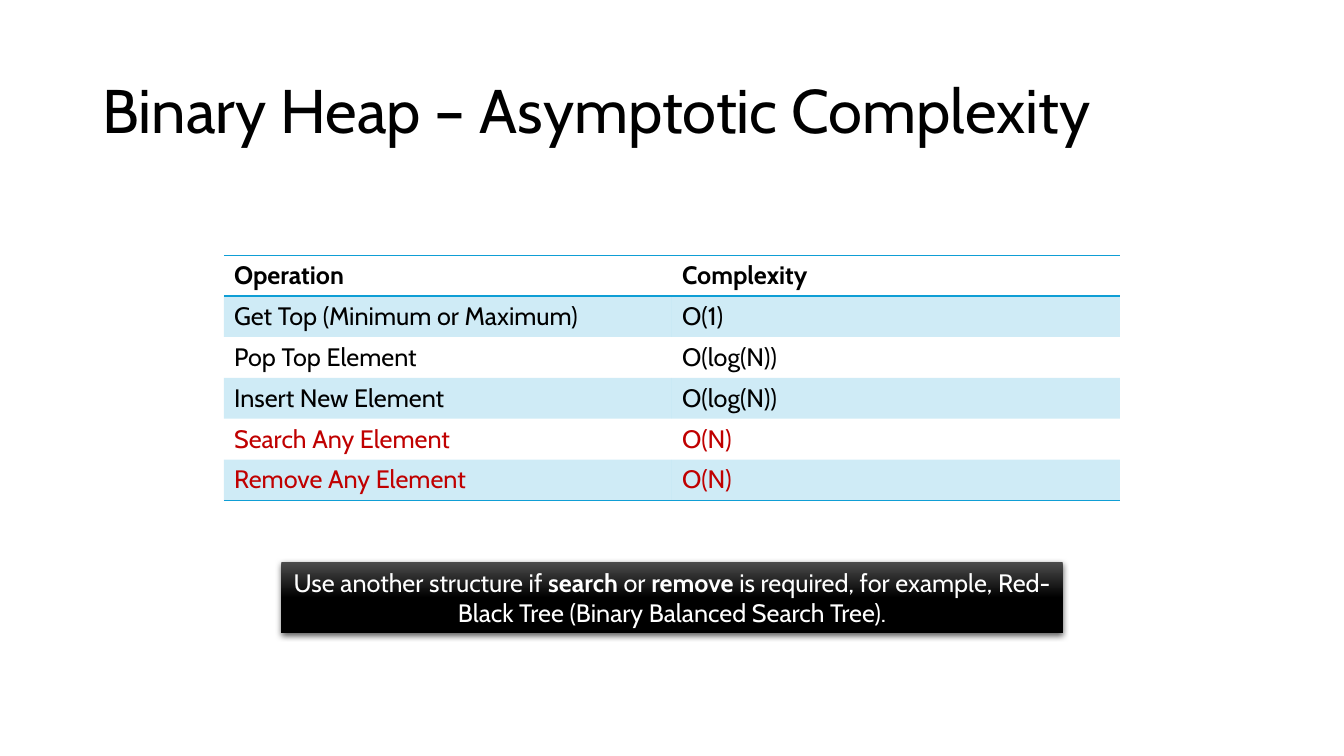
"""Build a slide on the asymptotic complexity of binary heap operations."""
from lxml.etree import SubElement
from pptx import Presentation
from pptx.dml.color import RGBColor
from pptx.enum.shapes import MSO_SHAPE as Shape
from pptx.enum.text import MSO_ANCHOR as Anchor, PP_ALIGN as Align
from pptx.oxml import parse_xml
from pptx.oxml.ns import nsdecls, qn
from pptx.util import Pt

TITLE = "Binary Heap – Asymptotic Complexity"
HEADER = ("Operation", "Complexity")
OPERATIONS = [
    ("Get Top (Minimum or Maximum)", "O(1)"),
    ("Pop Top Element", "O(log(N))"),
    ("Insert New Element", "O(log(N))"),
    ("Search Any Element", "O(N)"),
    ("Remove Any Element", "O(N)"),
]
SLOW = "O(N)"
ADVICE = [
    ("Use another structure if ", False),
    ("search", True),
    (" or ", False),
    ("remove", True),
    (" is required, for example, Red-Black Tree (Binary Balanced Search Tree).", False),
]

FONT = "Cabin"
PLAIN_STYLE = "{2D5ABB26-0587-4C30-8999-92F81FD0307C}"
BLACK = RGBColor(0x00, 0x00, 0x00)
WHITE = RGBColor(0xFF, 0xFF, 0xFF)
RED = RGBColor(0xC0, 0x00, 0x00)
BLUE = RGBColor(0x0F, 0x9E, 0xD5)
CHARCOAL = RGBColor(0x4B, 0x4B, 0x4B)

COLUMN_WIDTH, ROW_HEIGHT = 320, 29.2


def add_run(paragraph, text, size, color, bold=False):
    run = paragraph.add_run()
    run.text = text
    font = run.font
    font.name, font.size, font.bold = FONT, Pt(size), bold
    font.color.rgb = color


def add_rule(cell, side):
    cell._tc.get_or_add_tcPr().append(parse_xml(
        f'<a:ln{side} {nsdecls("a")} w="{Pt(1)}"><a:solidFill>'
        f'<a:srgbClr val="{BLUE}"/></a:solidFill></a:ln{side}>'))


def add_title(slide):
    title = slide.shapes.add_textbox(Pt(66), Pt(28.75), Pt(828), Pt(104.4)).text_frame
    title.word_wrap = True
    title.vertical_anchor = Anchor.MIDDLE
    title.paragraphs[0].line_spacing = 0.9
    add_run(title.paragraphs[0], TITLE, 44, BLACK)


def add_operations(slide):
    rows = [HEADER, *OPERATIONS]
    table = slide.shapes.add_table(
        len(rows), len(HEADER), Pt(160), Pt(182.3),
        Pt(COLUMN_WIDTH * len(HEADER)), Pt(ROW_HEIGHT * len(rows))).table
    table.horz_banding = False
    table._tbl.tblPr.find(qn("a:tableStyleId")).text = PLAIN_STYLE
    for column in table.columns:
        column.width = Pt(COLUMN_WIDTH)
    for index, row in enumerate(rows):
        table.rows[index].height = Pt(ROW_HEIGHT)
        color = RED if row[-1] == SLOW else BLACK
        for cell, text in zip(table.rows[index].cells, row):
            add_run(cell.text_frame.paragraphs[0], text, 18, color, index == 0)
            if index == 0:
                add_rule(cell, "T")
            if index in (0, len(rows) - 1):
                add_rule(cell, "B")
            if index % 2:
                cell.fill.solid()
                cell.fill.fore_color.rgb = BLUE
                tint = cell._tc.tcPr.find(qn("a:solidFill"))[0]
                SubElement(tint, qn("a:alpha"), val="20000")
            else:
                cell.fill.background()


def add_advice(slide):
    advice = slide.shapes.add_shape(Shape.RECTANGLE, Pt(201), Pt(401.6), Pt(558), Pt(50.9))
    advice.line.fill.background()
    advice.fill.gradient()
    advice.fill.gradient_angle = 270
    for stop, (position, color) in zip(advice.fill.gradient_stops, [(0, CHARCOAL), (0.5, BLACK)]):
        stop.position, stop.color.rgb = position, color
    advice.shadow.inherit = False
    advice._element.spPr.find(qn("a:effectLst")).append(parse_xml(
        f'<a:outerShdw {nsdecls("a")} blurRad="{Pt(4.5)}" dist="{Pt(1.5)}" dir="5400000" '
        f'algn="ctr" rotWithShape="0"><a:srgbClr val="{BLACK}"><a:alpha val="63000"/>'
        '</a:srgbClr></a:outerShdw>'))
    frame = advice.text_frame
    frame.word_wrap = True
    frame.vertical_anchor = Anchor.TOP
    frame.paragraphs[0].alignment = Align.CENTER
    for text, bold in ADVICE:
        add_run(frame.paragraphs[0], text, 18, WHITE, bold)


def main():
    deck = Presentation()
    deck.slide_width, deck.slide_height = Pt(960), Pt(540)
    slide = deck.slides.add_slide(deck.slide_layouts[6])
    add_title(slide)
    add_operations(slide)
    add_advice(slide)
    deck.save("out.pptx")


if __name__ == "__main__":
    main()
